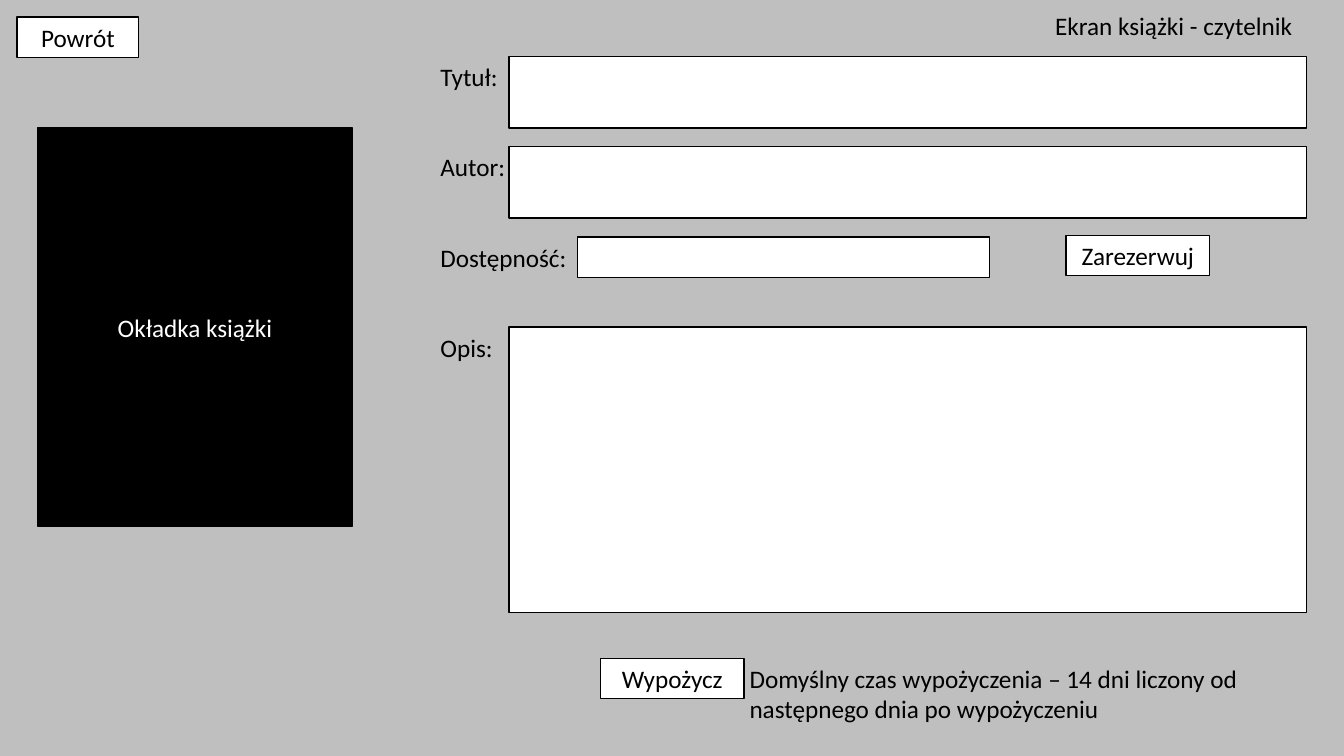
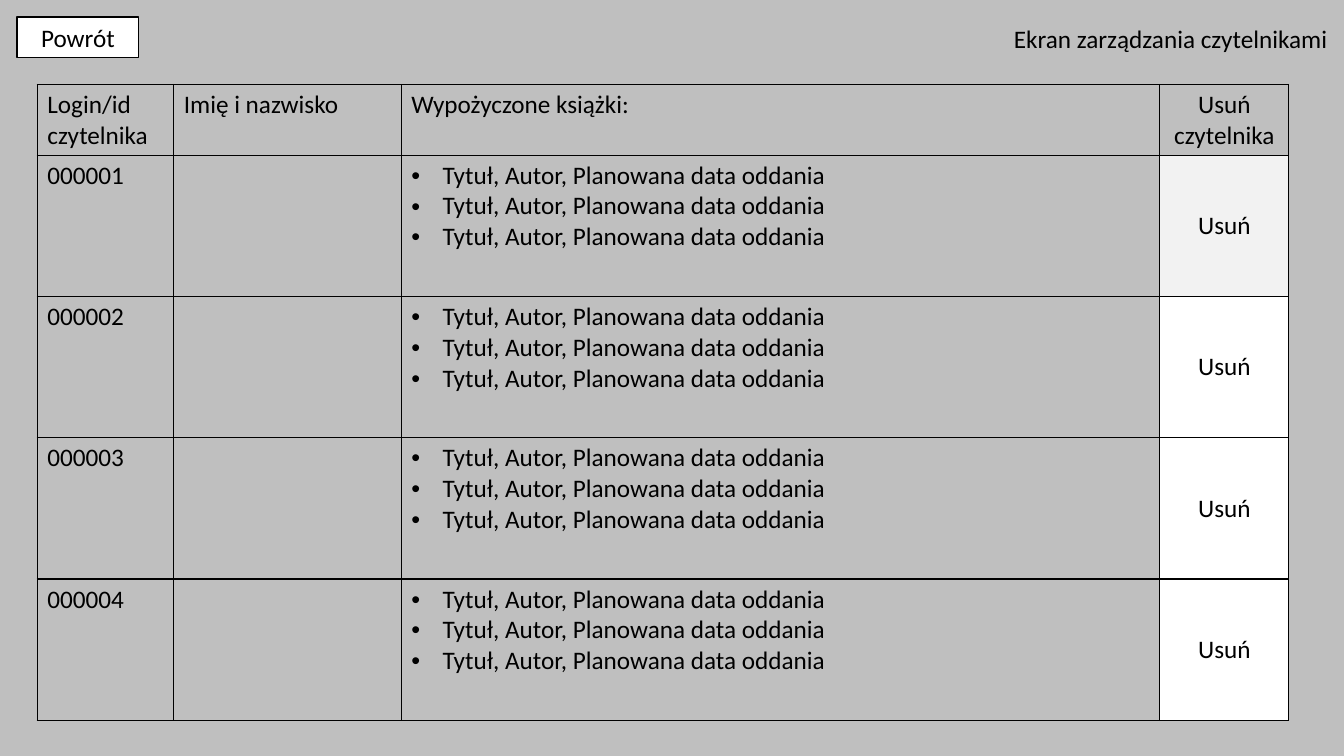
from dataclasses import dataclass
from itertools import product
from typing import NamedTuple

from lxml.etree import SubElement as Sub
from pptx import Presentation
from pptx.dml.color import RGBColor as RGB
from pptx.enum.shapes import MSO_SHAPE as Geo
from pptx.enum.text import MSO_ANCHOR as Anchor, PP_ALIGN as Align
from pptx.oxml.ns import qn
from pptx.util import Cm, Pt


@dataclass(frozen=True)
class Theme:
    back: RGB = RGB(0xBF, 0xBF, 0xBF)
    ink: RGB = RGB(0, 0, 0)
    paper: RGB = RGB(255, 255, 255)
    shade: RGB = RGB(0xF2, 0xF2, 0xF2)
    font: str = "Calibri"
    size: Pt = Pt(18)
    line: Pt = Pt(1)


class Box(NamedTuple):
    """Left, top, width and height in centimetres."""
    left: float
    top: float
    width: float
    height: float = 1.02

    def emu(self) -> list:
        return [Cm(n) for n in self]


class Field(NamedTuple):
    label: str
    left: float = 12.83
    width: float = 20.09
    height: float = 1.8


class Reader(NamedTuple):
    login: str
    fill: RGB


LOOK = Theme()
BACK = Box(0.43, 0.43, 3.07)
COVER = Box(0.94, 3.23, 7.95, 10.03)

# Book form: evenly spaced rows
FIELDS = [
    Field("Tytuł:"),
    Field("Autor:"),
    Field("Dostępność:", 14.55, 10.39, 1.02),
    Field("Opis:", height=7.19),
]
LABEL_X, FORM_Y, PITCH = 10.85, 1.43, 2.27

# Reader table
HEADS = ["Login/id czytelnika", "Imię i nazwisko",
         "Wypożyczone książki:", "Usuń czytelnika"]
WIDTHS = [3.44, 5.73, 19.12, 3.25]
HEAD_H, ROW_H = 1.78, 3.56
LOANS = ["Tytuł, Autor, Planowana data oddania"] * 3
READERS = [Reader(f"{n:06d}", LOOK.shade if n == 1 else LOOK.paper)
           for n in range(1, 5)]


# Text
def write(frame, *lines: str, color: RGB = LOOK.ink, align=Align.LEFT,
          bullet: bool = False) -> None:
    frame.word_wrap = True
    for i, line in enumerate(lines):
        para = frame.add_paragraph() if i else frame.paragraphs[0]
        para.alignment = align
        run = para.add_run()
        run.text = line
        font = run.font
        font.name, font.size, font.color.rgb = LOOK.font, LOOK.size, color
        if bullet:
            props = para._p.get_or_add_pPr()
            props.set("marL", str(Cm(0.79)))
            props.set("indent", str(-Cm(0.79)))
            Sub(props, qn("a:buFont"), typeface="Arial")
            Sub(props, qn("a:buChar"), char="•")


def label(slide, box: Box, text: str) -> None:
    write(slide.shapes.add_textbox(*box.emu()).text_frame, text)


# Boxes and buttons
def panel(slide, box: Box, text: str = "", fill: RGB = LOOK.paper,
          color: RGB = LOOK.ink) -> None:
    shape = slide.shapes.add_shape(Geo.RECTANGLE, *box.emu())
    shape.shadow.inherit = False
    shape.fill.solid()
    shape.fill.fore_color.rgb = fill
    shape.line.color.rgb = LOOK.ink
    shape.line.width = LOOK.line
    if text:
        write(shape.text_frame, text, color=color, align=Align.CENTER)


# Table cells
def edge(cell) -> None:
    props = cell._tc.get_or_add_tcPr()
    for i, side in enumerate(("lnL", "lnR", "lnT", "lnB")):
        line = props.makeelement(qn(f"a:{side}"), {"w": str(LOOK.line)})
        props.insert(i, line)
        fill = Sub(line, qn("a:solidFill"))
        Sub(fill, qn("a:srgbClr"), val=str(LOOK.ink))


def roster(slide) -> None:
    box = Box(0.94, 2.13, sum(WIDTHS), HEAD_H + ROW_H * len(READERS))
    rows, cols = len(READERS) + 1, len(WIDTHS)
    table = slide.shapes.add_table(rows, cols, *box.emu()).table
    table.first_row = table.horz_banding = False
    for col, width in zip(table.columns, WIDTHS):
        col.width = Cm(width)
    for i, row in enumerate(table.rows):
        row.height = Cm(ROW_H if i else HEAD_H)
    for r, c in product(range(rows), range(cols)):
        cell = table.cell(r, c)
        cell.fill.background()
        edge(cell)

    for c, head in enumerate(HEADS):
        align = Align.CENTER if c == cols - 1 else Align.LEFT
        write(table.cell(0, c).text_frame, head, align=align)
    for r, reader in enumerate(READERS, 1):
        write(table.cell(r, 0).text_frame, reader.login)
        write(table.cell(r, 2).text_frame, *LOANS, bullet=True)
        drop = table.cell(r, 3)
        drop.fill.solid()
        drop.fill.fore_color.rgb = reader.fill
        drop.vertical_anchor = Anchor.MIDDLE
        write(drop.text_frame, "Usuń", align=Align.CENTER)


# Slides
def screen(deck, title: str, box: Box):
    slide = deck.slides.add_slide(deck.slide_layouts[6])
    label(slide, box, title)
    panel(slide, BACK, "Powrót")
    return slide


def book(deck) -> None:
    slide = screen(deck, "Ekran książki - czytelnik", Box(26.34, 0.13, 7.5))
    panel(slide, COVER, "Okładka książki", fill=LOOK.ink, color=LOOK.paper)
    for i, field in enumerate(FIELDS):
        top = FORM_Y + i * PITCH
        label(slide, Box(LABEL_X, top, 3.81), field.label)
        panel(slide, Box(field.left, top, field.width, field.height))
    panel(slide, Box(26.87, 5.93, 3.61), "Zarezerwuj")
    panel(slide, Box(15.14, 16.59, 3.61), "Wypożycz")
    label(slide, Box(18.64, 16.59, 14.5, 1.8),
          "Domyślny czas wypożyczenia – 14 dni liczony od "
          "następnego dnia po wypożyczeniu")


def people(deck) -> None:
    slide = screen(deck, "Ekran zarządzania czytelnikami",
                   Box(25.3, 0.46, 8.56))
    roster(slide)


def main() -> None:
    deck = Presentation()
    deck.slide_width, deck.slide_height = Cm(33.87), Cm(19.05)
    ground = deck.slide_master.background.fill
    ground.solid()
    ground.fore_color.rgb = LOOK.back
    book(deck)
    people(deck)
    deck.save("out.pptx")


if __name__ == "__main__":
    main()
